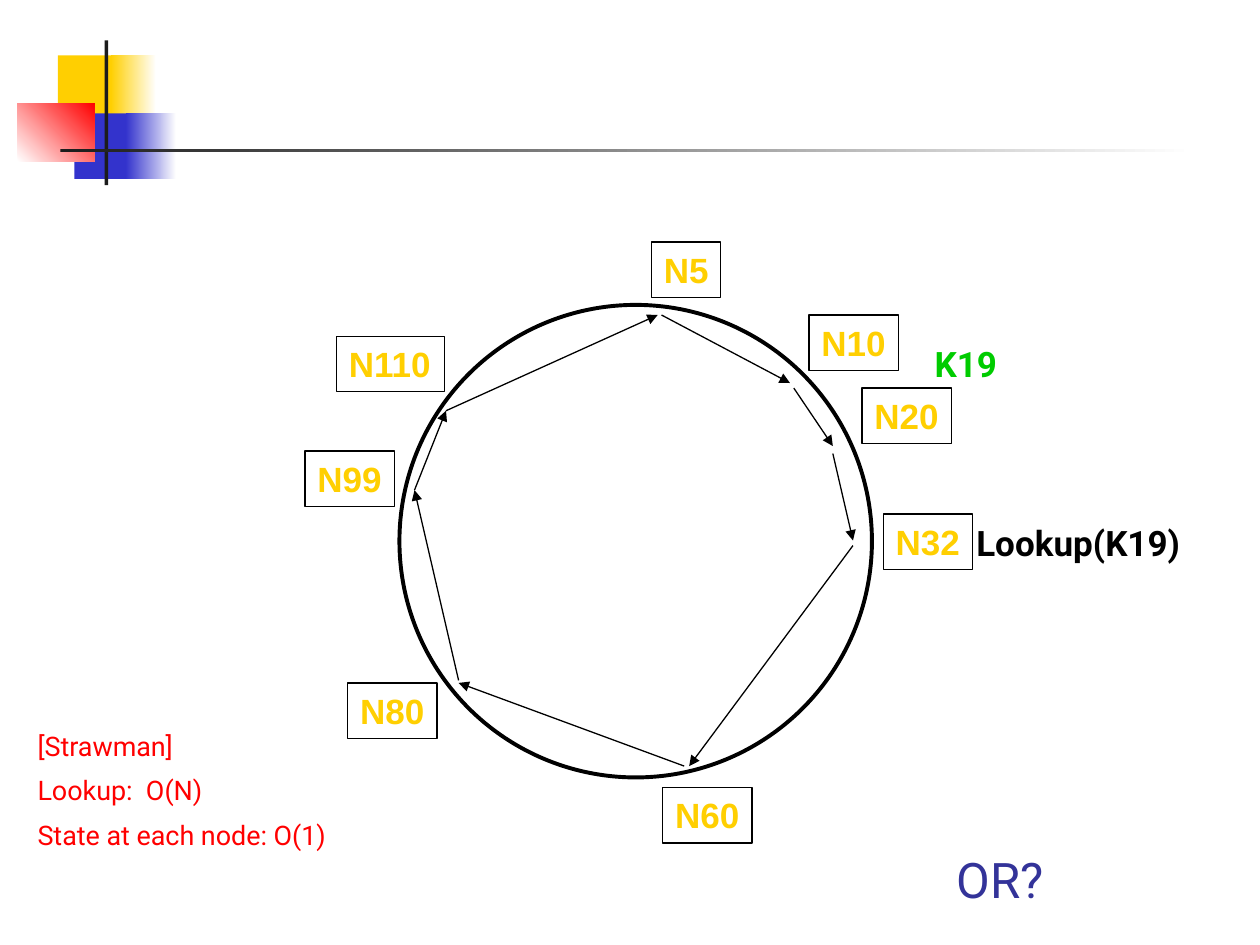
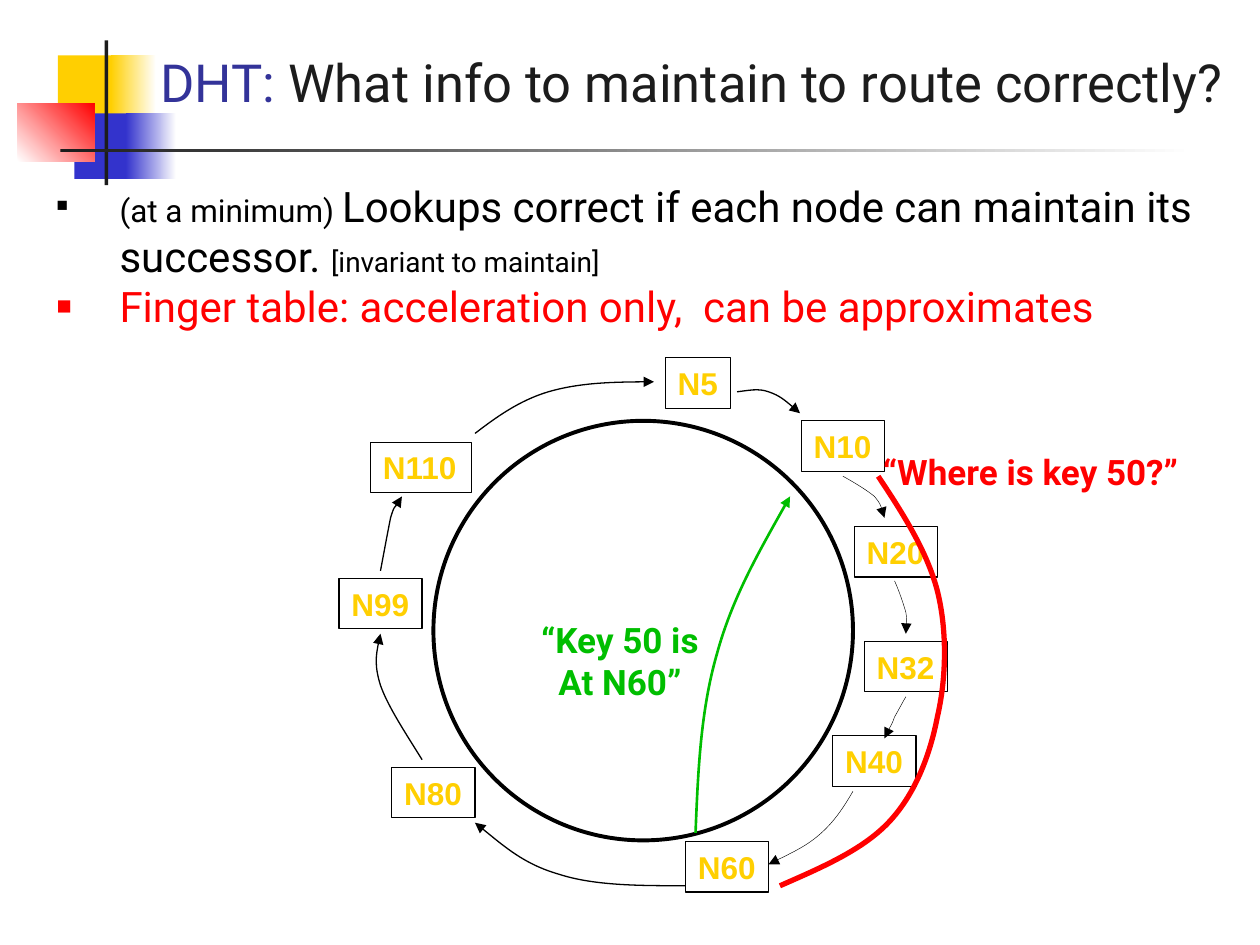
from dataclasses import dataclass

from lxml.etree import SubElement as sub
from pptx import Presentation
from pptx.dml.color import RGBColor as RGB
from pptx.enum.shapes import MSO_CONNECTOR as LINK, MSO_SHAPE as FORM
from pptx.enum.text import MSO_ANCHOR as ANCHOR, PP_ALIGN as ALIGN
from pptx.oxml.ns import qn
from pptx.util import Pt

PX = 9144  # 100 px to the inch


@dataclass(frozen=True)
class Theme:
    gold: str = "FFCF01"
    blue: str = "3333CC"
    navy: str = "333399"
    red: str = "FF0000"
    lime: str = "00CC00"
    green: str = "00BE00"
    ink: str = "1C1C1C"
    black: str = "000000"
    white: str = "FFFFFF"
    sans: str = "Roboto"
    label: str = "Arial"
    title: float = 30
    ask: float = 28
    body: float = 24
    call: float = 20
    small: float = 18
    aside: float = 16
    note: float = 15.4


T = Theme()


def write(frame, rows, align=ALIGN.LEFT, anchor=ANCHOR.TOP, wrap=False, gap=0):
    """Fill a frame; each row is a list of (text, colour, format values) runs."""
    frame.word_wrap = wrap
    frame.vertical_anchor = anchor
    for i, row in enumerate(rows):
        para = frame.paragraphs[0] if i == 0 else frame.add_paragraph()
        para.alignment = align
        if i and gap:
            para.space_before = Pt(gap)
        for text, color, look in row:
            run = para.add_run()
            run.text = text
            run.font.color.rgb = RGB.from_string(color)
            for key, value in look.items():
                setattr(run.font, key, value)


def stroke(shape, color, width, arrow=False):
    shape.line.color.rgb = RGB.from_string(color)
    shape.line.width = Pt(width)
    if arrow:
        line = shape.element.spPr.find(qn("a:ln"))
        sub(line, qn("a:tailEnd"), type="triangle")


deck = Presentation()
deck.slide_width, deck.slide_height = 1000 * PX, 750 * PX
walk = deck.slides.add_slide(deck.slide_layouts[6])
route = deck.slides.add_slide(deck.slide_layouts[5])

# Shared motif: drawn once, then moved to the master
motif = [
    ((46, 44, 48, 52), [T.gold], 0),
    ((88, 44, 36, 52), [T.gold, T.white], 0),
    ((59, 90, 46, 52), [T.blue], 0),
    ((100, 90, 40, 52), [T.blue, T.white], 0),
    ((14, 82, 61, 46), [T.white, T.red], 45),
    ((83, 32, 3, 115), [T.ink], 0),
    ((48, 118, 900, 3), [T.ink, T.white], 0),
]
tree = deck.slide_master.element.cSld.spTree
for i, (place, colors, angle) in enumerate(motif):
    tile = walk.shapes.add_shape(FORM.RECTANGLE, *[n * PX for n in place])
    tile.shadow.inherit = False
    tile.line.fill.background()
    if len(colors) == 1:
        tile.fill.solid()
        tile.fill.fore_color.rgb = RGB.from_string(colors[0])
    else:
        tile.fill.gradient()
        tile.fill.gradient_angle = angle
        for stop, color in zip(tile.fill.gradient_stops, colors):
            stop.color.rgb = RGB.from_string(color)
    tile.element.nvSpPr.cNvPr.set("id", str(50 + i))
    tree.append(tile.element)

# Rings of nodes; box width follows the length of the label
rings = [
    (walk, (317, 242, 375), T.call, 44, {2: 55, 3: 71, 4: 86},
     {"N32": (701, 408), "N10": (642, 250), "N5": (517, 192),
      "N20": (684, 308), "N110": (267, 267), "N99": (242, 358),
      "N80": (276, 542), "N60": (526, 625)}),
    (route, (344, 334, 333), T.small, 40, {2: 52, 3: 66, 4: 80},
     {"N32": (686, 509), "N10": (636, 334), "N5": (528, 284),
      "N20": (678, 418), "N110": (294, 351), "N99": (269, 459),
      "N80": (311, 609), "N60": (544, 668), "N40": (661, 584)}),
]
for slide, (left, top, size), type_size, high, widths, nodes in rings:
    ring = slide.shapes.add_shape(
        FORM.OVAL, left * PX, top * PX, size * PX, size * PX)
    ring.shadow.inherit = False
    ring.fill.background()
    stroke(ring, T.black, 2.25)
    look = {"name": T.label, "size": Pt(type_size), "bold": True}
    for name, (x, y) in nodes.items():
        node = slide.shapes.add_shape(
            FORM.RECTANGLE, x * PX, y * PX, widths[len(name)] * PX, high * PX)
        node.shadow.inherit = False
        node.fill.background()
        stroke(node, T.black, 0.75)
        write(node.text_frame, [[(name, T.gold, look)]])

# Slide 1: hops from node to node
hops = [
    (677, 433, 547, 608), (543, 608, 364, 542), (364, 540, 329, 389),
    (329, 389, 354, 326), (354, 326, 522, 250), (525, 250, 627, 304),
    (630, 308, 661, 354), (661, 360, 677, 429),
]
for hop in hops:
    link = walk.shapes.add_connector(LINK.STRAIGHT, *[n * PX for n in hop])
    stroke(link, T.black, 0.75, arrow=True)
    sub(link.element.spPr, qn("a:effectLst"))

# Slide 2: curved hops, each a start and then triples of Bezier points
curves = [
    (T.black, 0.75, True, [(377, 344), (394, 331), (412, 318), (435, 311),
                           (459, 304), (489, 303), (519, 303)]),
    (T.black, 0.75, True, [(585, 311), (594, 310), (602, 308), (610, 311),
                           (619, 314), (627, 321), (635, 328)]),
    (T.black, 0.25, True, [(669, 378), (678, 383), (688, 389), (694, 394),
                           (699, 400), (701, 406), (702, 411)]),
    (T.black, 0.25, True, [(710, 461), (714, 470), (717, 479), (719, 486),
                           (720, 493), (719, 498), (719, 503)]),
    (T.black, 0.25, True, [(719, 553), (716, 558), (713, 564), (710, 569),
                           (708, 575), (703, 583), (702, 586)]),
    (T.black, 0.25, True, [(677, 628), (670, 640), (663, 651), (652, 661),
                           (641, 671), (626, 678), (610, 686)]),
    (T.black, 0.75, True, [(335, 603), (322, 582), (308, 561), (302, 544),
                           (297, 528), (299, 515), (302, 503)]),
    (T.black, 0.75, True, [(302, 453), (305, 437), (308, 421), (310, 411),
                           (313, 401), (317, 399), (319, 394)]),
    (T.green, 1.5, True, [(552, 661), (554, 612), (556, 564), (569, 519),
                          (581, 475), (604, 435), (627, 394)]),
    (T.black, 0.75, True, [(544, 703), (508, 703), (472, 703), (444, 694),
                           (416, 686), (397, 669), (377, 653)]),
    (T.red, 3, False, [(697, 378), (717, 408), (736, 438), (744, 469),
                       (752, 501), (751, 539), (744, 569),
                       (738, 600), (726, 631), (705, 653),
                       (684, 675), (651, 689), (619, 703)]),
]
for color, width, arrow, knots in curves:
    start, *rest = [(x * PX, y * PX) for x, y in knots]
    pen = route.shapes.build_freeform(*start)
    pen.add_line_segments(rest, close=False)
    curve = pen.convert_to_shape()
    curve.shadow.inherit = False
    curve.fill.background()
    stroke(curve, color, width, arrow)
    # Turn each three line points into one Bezier segment
    trace = next(curve.element.iter(qn("a:path")))
    legs = trace.findall(qn("a:lnTo"))
    for i in range(0, len(legs), 3):
        bend = sub(trace, qn("a:cubicBezTo"))
        for leg in legs[i:i + 3]:
            bend.append(leg[0])
            trace.remove(leg)

# Notes and calls on both slides
call = {"name": T.sans, "size": Pt(T.call), "bold": True}
note = {"name": T.sans, "size": Pt(T.note)}
body = {"name": T.sans, "size": Pt(T.body)}
small = {**body, "size": Pt(T.small)}
aside = {**body, "size": Pt(T.aside)}
ask = {**body, "size": Pt(T.ask)}
mid = {"align": ALIGN.CENTER}
notes = [
    (walk, (20, 574, 636, 114), T.red, note, {"wrap": True, "gap": 7},
     ["[Strawman]", "Lookup:  O(N)", "State at each node: O(1)"]),
    (walk, (765, 409, 192, 44), T.black, call, {}, ["Lookup(K19)"]),
    (walk, (732, 267, 70, 44), T.lime, call, {}, ["K19"]),
    (walk, (630, 669, 328, 57), T.navy, ask, {**mid, "wrap": True}, ["OR?"]),
    (route, (691, 353, 274, 44), T.red, call, {}, ["“Where is key 50?”"]),
    (route, (416, 486, 152, 77), T.green, call, mid,
     ["“Key 50 is", "At N60”"]),
]
for slide, place, color, look, form, lines in notes:
    box = slide.shapes.add_textbox(*[n * PX for n in place])
    write(box.text_frame, [[(line, color, look)] for line in lines], **form)

# Slide 2: title and bullets
title = route.shapes.title
spot = {"left": 117, "top": 2, "width": 896, "height": 93}
for key, value in spot.items():
    setattr(title, key, value * PX)
head = {**body, "size": Pt(T.title)}
write(title.text_frame,
      [[("DHT: ", T.navy, head),
        ("What info to maintain to route correctly?", T.ink, head)]],
      anchor=ANCHOR.BOTTOM, wrap=True)

points = route.shapes.add_textbox(*[n * PX for n in (35, 138, 965, 130)])
write(points.text_frame, [
    [("(at a minimum) ", T.black, small),
     ("Lookups correct if each node can maintain its successor. ",
      T.black, body),
     ("[invariant to maintain]", T.black, aside)],
    [("Finger table: acceleration only,  can be approximates", T.red, body)],
], wrap=True)
for para, color in zip(points.text_frame.paragraphs, (T.black, T.red)):
    props = para._p.get_or_add_pPr()
    props.set("marL", str(50 * PX))
    props.set("indent", str(-50 * PX))
    sub(sub(props, qn("a:buClr")), qn("a:srgbClr"), val=color)
    sub(props, qn("a:buSzPct"), val="60000")
    sub(props, qn("a:buFont"), typeface=T.label)
    sub(props, qn("a:buChar"), char="■")

deck.save("out.pptx")
